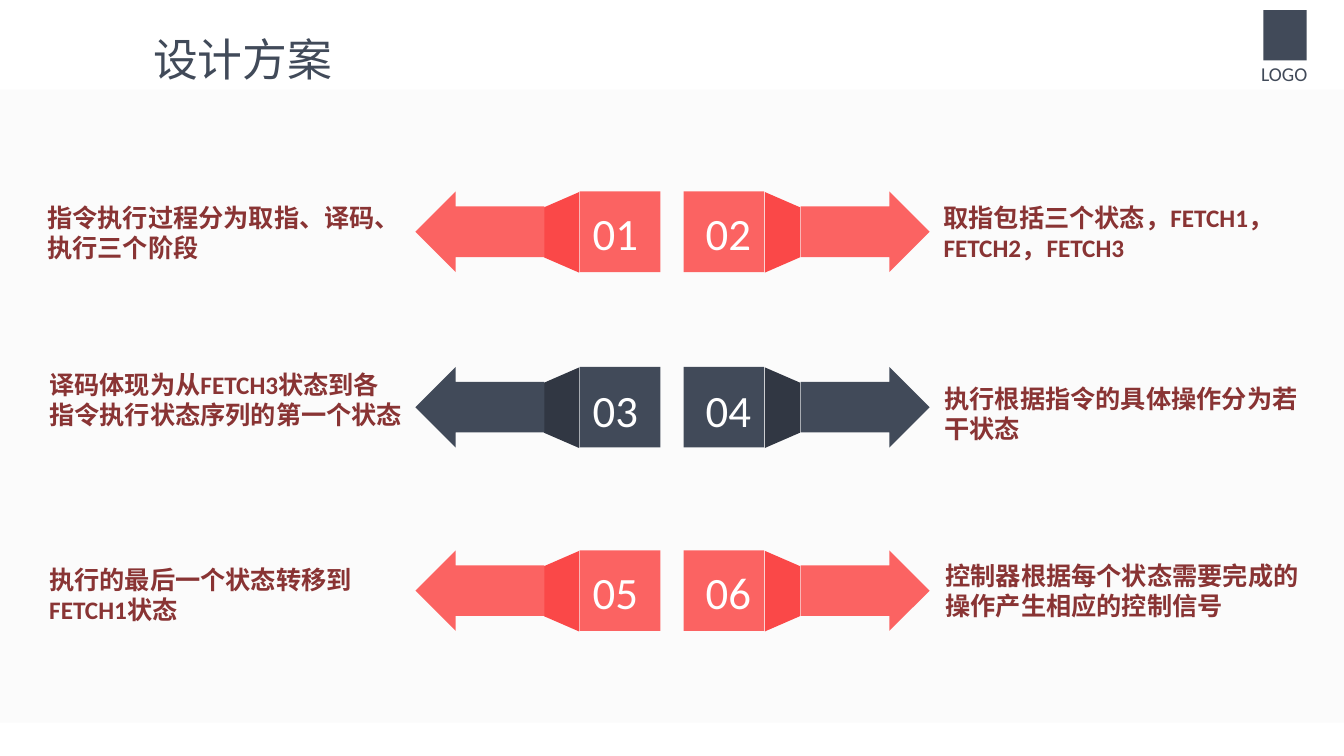
"""Build the design plan slide: six numbered arrows in three rows."""
from pptx import Presentation
from pptx.dml.color import RGBColor
from pptx.enum.shapes import MSO_SHAPE
from pptx.enum.text import MSO_AUTO_SIZE
from pptx.util import Inches, Pt

WHITE = RGBColor(0xFF, 0xFF, 0xFF)
BAND = RGBColor(0xFB, 0xFB, 0xFB)
SLATE = RGBColor(0x41, 0x4A, 0x59)
DARK_SLATE = RGBColor(0x31, 0x37, 0x43)
CORAL = RGBColor(0xFB, 0x63, 0x62)
DARK_CORAL = RGBColor(0xFA, 0x48, 0x48)
MAROON = RGBColor(0x89, 0x34, 0x34)

presentation = Presentation()
presentation.slide_width = Inches(13.33)
presentation.slide_height = Inches(7.5)
slide = presentation.slides.add_slide(presentation.slide_layouts[6])


def add_filled_shape(kind, left, top, width, height, color, adjustments=(), rotation=0):
    shape = slide.shapes.add_shape(
        kind, Inches(left), Inches(top), Inches(width), Inches(height))
    shape.shadow.inherit = False
    shape.fill.solid()
    shape.fill.fore_color.rgb = color
    shape.line.fill.background()
    for index, value in enumerate(adjustments):
        shape.adjustments[index] = value
    shape.rotation = rotation


def add_text(text, left, top, width, height, size, color, font="Calibri", bold=False, wrap=False):
    text_box = slide.shapes.add_textbox(
        Inches(left), Inches(top), Inches(width), Inches(height))
    text_frame = text_box.text_frame
    text_frame.word_wrap = wrap
    text_frame.auto_size = MSO_AUTO_SIZE.SHAPE_TO_FIT_TEXT
    text_frame.text = text
    run = text_frame.paragraphs[0].runs[0]
    run.font.size = Pt(size)
    run.font.name = font
    run.font.bold = bold
    run.font.color.rgb = color


add_filled_shape(MSO_SHAPE.RECTANGLE, 0, 0.89, 13.33, 6.28, BAND)
add_filled_shape(MSO_SHAPE.RECTANGLE, 12.53, 0.1, 0.43, 0.5, SLATE)
add_text("LOGO", 12.41, 0.57, 0.66, 0.34, 14, SLATE)
add_text("设计方案", 1.42, 0.27, 2, 0.64, 32, SLATE, font="Roboto")

sides = [
    (MSO_SHAPE.LEFT_ARROW, 4.12, 5.17, 270, 5.75, 5.78),
    (MSO_SHAPE.RIGHT_ARROW, 7.94, 7.36, 90, 6.78, 6.9),
]
rows = [
    (1.9, 1.99, CORAL, DARK_CORAL, [
        ("指令执行过程分为取指、译码、执行三个阶段", 0.37, 1.96, 0.71),
        ("取指包括三个状态，FETCH1，FETCH2，FETCH3", 9.26, 1.96, 0.71)]),
    (3.64, 3.75, SLATE, DARK_SLATE, [
        ("译码体现为从FETCH3状态到各指令执行状态序列的第一个状态", 0.39, 3.61, 1.01),
        ("执行根据指令的具体操作分为若干状态", 9.27, 3.75, 0.71)]),
    (5.46, 5.55, CORAL, DARK_CORAL, [
        ("执行的最后一个状态转移到FETCH1状态", 0.39, 5.55, 0.71),
        ("控制器根据每个状态需要完成的操作产生相应的控制信号", 9.28, 5.51, 0.71)]),
]

number = 0
for arrow_top, number_top, color, fold_color, captions in rows:
    for side, (caption, caption_left, caption_top, caption_height) in zip(sides, captions):
        arrow_kind, arrow_left, fold_left, fold_rotation, square_left, number_left = side
        number += 1
        add_filled_shape(MSO_SHAPE.RECTANGLE, square_left, arrow_top, 0.8, 0.8, color)
        add_filled_shape(MSO_SHAPE.TRAPEZOID, fold_left, arrow_top + 0.23, 0.8, 0.35,
                         fold_color, [0.435], fold_rotation)
        add_filled_shape(arrow_kind, arrow_left, arrow_top, 1.28, 0.8, color, [0.627, 0.5])
        add_text(f"{number:02}", number_left, number_top, 0.66, 0.64, 32, WHITE)
        add_text(caption, caption_left, caption_top, 3.7, caption_height, 18, MAROON,
                 bold=True, wrap=True)

presentation.save("out.pptx")
